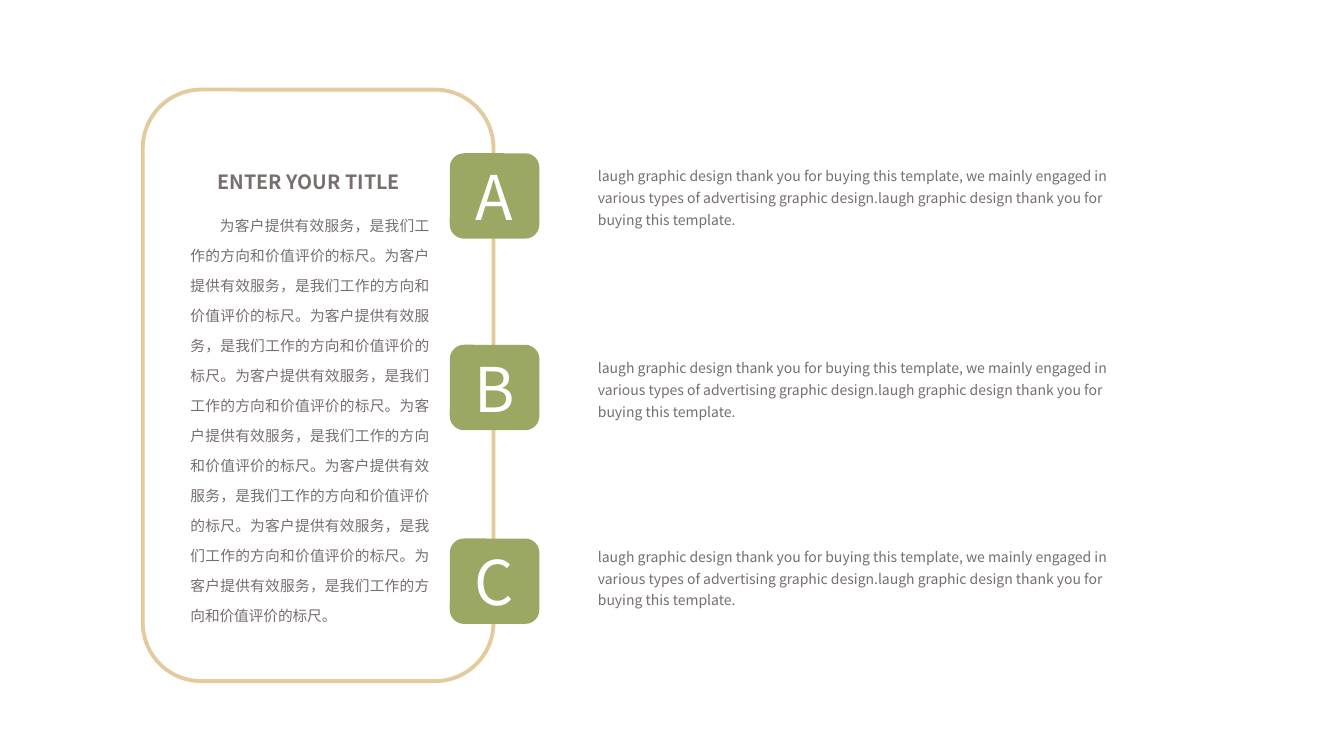
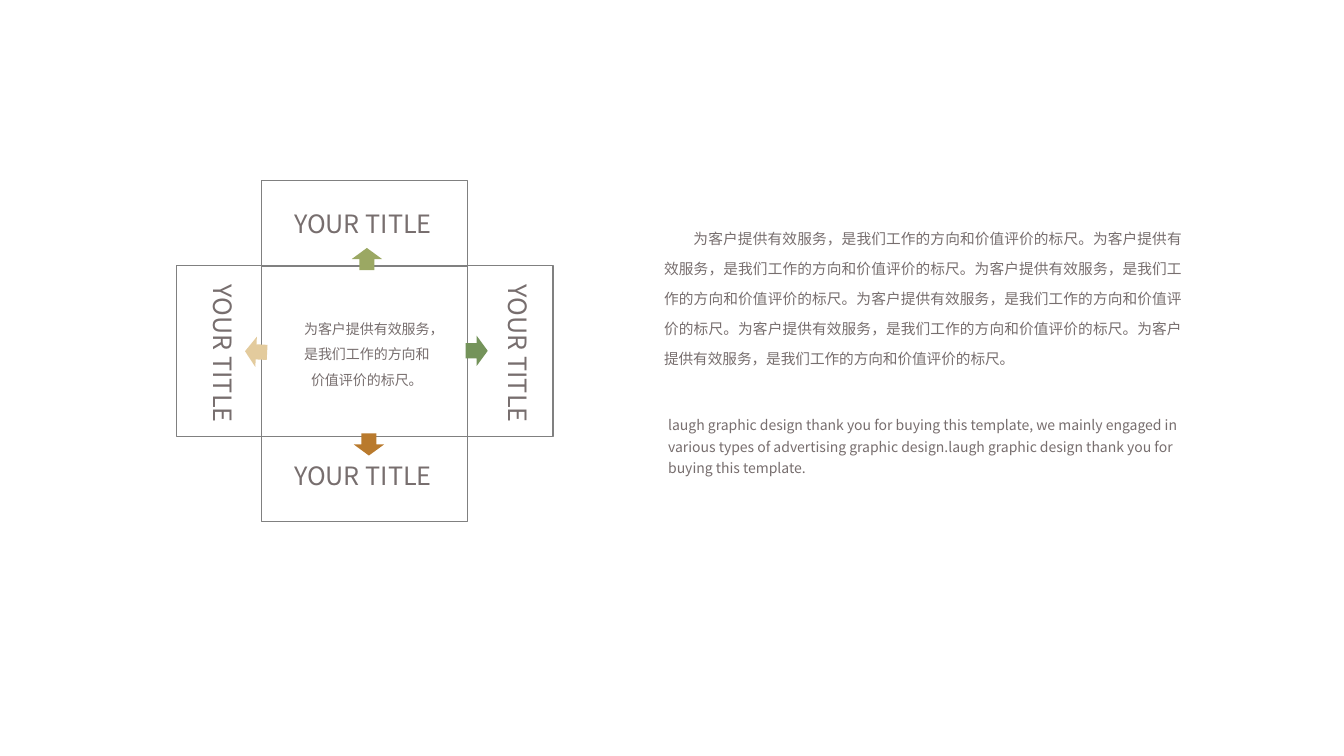
"""Builds two diagram slides: a lettered card and a four-way cross."""
import pptx
import pptx.dml.color
import pptx.enum.shapes
import pptx.enum.text
import pptx.oxml.ns
import pptx.util
from lxml import etree

Pt = pptx.util.Pt
Shape = pptx.enum.shapes.MSO_SHAPE
Align = pptx.enum.text.PP_ALIGN
Anchor = pptx.enum.text.MSO_ANCHOR
AutoSize = pptx.enum.text.MSO_AUTO_SIZE

COLORS = {
    "text": "776E6E",
    "white": "FFFFFF",
    "outline": "808080",
    "sand": "E3CB9D",
    "olive": "9BA863",
    "green": "74935A",
    "brown": "B97A2D",
}
BODY_FONT = "Noto Sans CJK SC"
LETTER_FONT = "Noto Sans CJK JP"
LINE_HEIGHT = 1.2
TITLE_ONLY, BLANK = 5, 6

SERVICE = "为客户提供有效服务，是我们工作的方向和价值评价的标尺。"
DESIGN = (
    "laugh graphic design thank you for buying this template, we mainly engaged in "
    "various types of advertising graphic design.laugh graphic design thank you for "
    "buying this template."
)


class Deck:
    def __init__(self):
        self.presentation = pptx.Presentation()
        self.presentation.slide_width = Pt(960)
        self.presentation.slide_height = Pt(540)
        self.slide = None

    def new_slide(self, layout):
        self.slide = self.presentation.slides.add_slide(
            self.presentation.slide_layouts[layout]
        )

    def color(self, name):
        return pptx.dml.color.RGBColor.from_string(COLORS[name])

    def fill_text(self, frame, text, size, color="text", font=BODY_FONT, bold=False,
                  align=Align.LEFT, spacing=None, after=0, indent=0):
        paragraph = frame.paragraphs[0]
        paragraph.alignment = align
        paragraph.space_before = Pt(0)
        paragraph.space_after = Pt(after)
        if spacing:
            paragraph.line_spacing = Pt(round(size * LINE_HEIGHT * spacing, 2))
        if indent:
            paragraph._p.get_or_add_pPr().set("indent", str(Pt(indent)))
        run = paragraph.add_run()
        run.text = text
        run.font.size = Pt(size)
        run.font.bold = bold
        run.font.name = font
        run.font.color.rgb = self.color(color)
        properties = run._r.get_or_add_rPr()
        properties.set("lang", "zh-CN")
        east_asian = etree.SubElement(properties, pptx.oxml.ns.qn("a:ea"))
        east_asian.set("typeface", font)

    def title(self, text, left, top, width, height):
        shape = self.slide.shapes.title
        shape.left, shape.top = Pt(left), Pt(top)
        shape.width, shape.height = Pt(width), Pt(height)
        frame = shape.text_frame
        frame.word_wrap = True
        frame.auto_size = AutoSize.NONE
        frame.vertical_anchor = Anchor.TOP
        self.fill_text(frame, text, 14, bold=True, align=Align.JUSTIFY, spacing=1.5, after=6)

    def shape(self, kind, left, top, width, height, fill=None, line=None,
              line_width=1, rotation=0):
        shape = self.slide.shapes.add_shape(kind, Pt(left), Pt(top), Pt(width), Pt(height))
        shape.shadow.inherit = False
        shape.rotation = rotation
        if fill:
            shape.fill.solid()
            shape.fill.fore_color.rgb = self.color(fill)
        else:
            shape.fill.background()
        if line:
            shape.line.color.rgb = self.color(line)
            shape.line.width = Pt(line_width)
        else:
            shape.line.fill.background()
        return shape

    def text(self, text, left, top, width, height, size, wrap=True, vertical=False, **style):
        box = self.slide.shapes.add_textbox(Pt(left), Pt(top), Pt(width), Pt(height))
        frame = box.text_frame
        frame.word_wrap = wrap
        frame.auto_size = AutoSize.SHAPE_TO_FIT_TEXT
        if vertical:
            frame._txBody.bodyPr.set("vert", "eaVert")
        self.fill_text(frame, text, size, **style)

    def letter(self, text, left, top):
        tile = self.shape(Shape.ROUNDED_RECTANGLE, left, top, 64, 61, fill="olive")
        tile.text_frame.vertical_anchor = Anchor.MIDDLE
        self.fill_text(tile.text_frame, text, 44, "white", LETTER_FONT, align=Align.CENTER)

    def design_note(self, left, top):
        self.text(DESIGN, left, top, 381.5, 54.6, 10, spacing=1.3)

    def service_note(self, repeats, left, top, width, height):
        self.text(SERVICE * repeats, left, top, width, height, 10.5,
                  align=Align.JUSTIFY, spacing=1.7, after=6, indent=21)

    def arm_title(self, left, top, vertical=False):
        width, height = (36, 108) if vertical else (115, 28.8)
        self.text("YOUR TITLE", left, top, width, height, 18,
                  wrap=False, vertical=vertical, spacing=1)


def lettered_card(deck):
    deck.new_slide(TITLE_ONLY)
    deck.shape(Shape.ROUNDED_RECTANGLE, 102, 64, 250.5, 422.5, line="sand", line_width=2.75)
    for letter, tile_top, note_top in (
        ("A", 109.5, 112.5), ("B", 246.3, 249.8), ("C", 384.7, 384.5)
    ):
        deck.letter(letter, 321.3, tile_top)
        deck.design_note(420, note_top)
    deck.service_note(8, 129, 142.5, 185, 309.5)
    deck.title("ENTER YOUR TITLE", 148.3, 109.5, 165.5, 32.4)


def four_way_cross(deck):
    deck.new_slide(BLANK)
    left, top, width, height = 126, 129, 269, 243.5
    arm = height / 4
    cross = deck.shape(Shape.CROSS, left, top, width, height, line="outline")
    center = deck.shape(Shape.RECTANGLE, left + arm, top + arm,
                        width - 2 * arm, height - 2 * arm, line="outline")
    deck.slide.shapes.add_group_shape([cross, center])
    for title_top in (145.5, 325.5):
        deck.arm_title(203, title_top)
    for title_left in (348.5, 138.2):
        deck.arm_title(title_left, 196.5, vertical=True)
    for arrow_left, arrow_top, rotation, color in (
        (332.6, 239.8, 0, "green"),
        (254.2, 174.2, 270, "olive"),
        (255.6, 306.7, 90, "brown"),
        (175, 240.5, 183, "sand"),
    ):
        deck.shape(Shape.RIGHT_ARROW, arrow_left, arrow_top, 15.8, 21.6,
                   fill=color, rotation=rotation)
    deck.text(SERVICE, 206.6, 219.6, 110.9, 62, 10,
              align=Align.CENTER, spacing=1.5, after=6)
    deck.service_note(6, 467.3, 152, 384.5, 115)
    deck.design_note(470.2, 290.2)


def main():
    deck = Deck()
    lettered_card(deck)
    four_way_cross(deck)
    deck.presentation.save("out.pptx")


if __name__ == "__main__":
    main()
